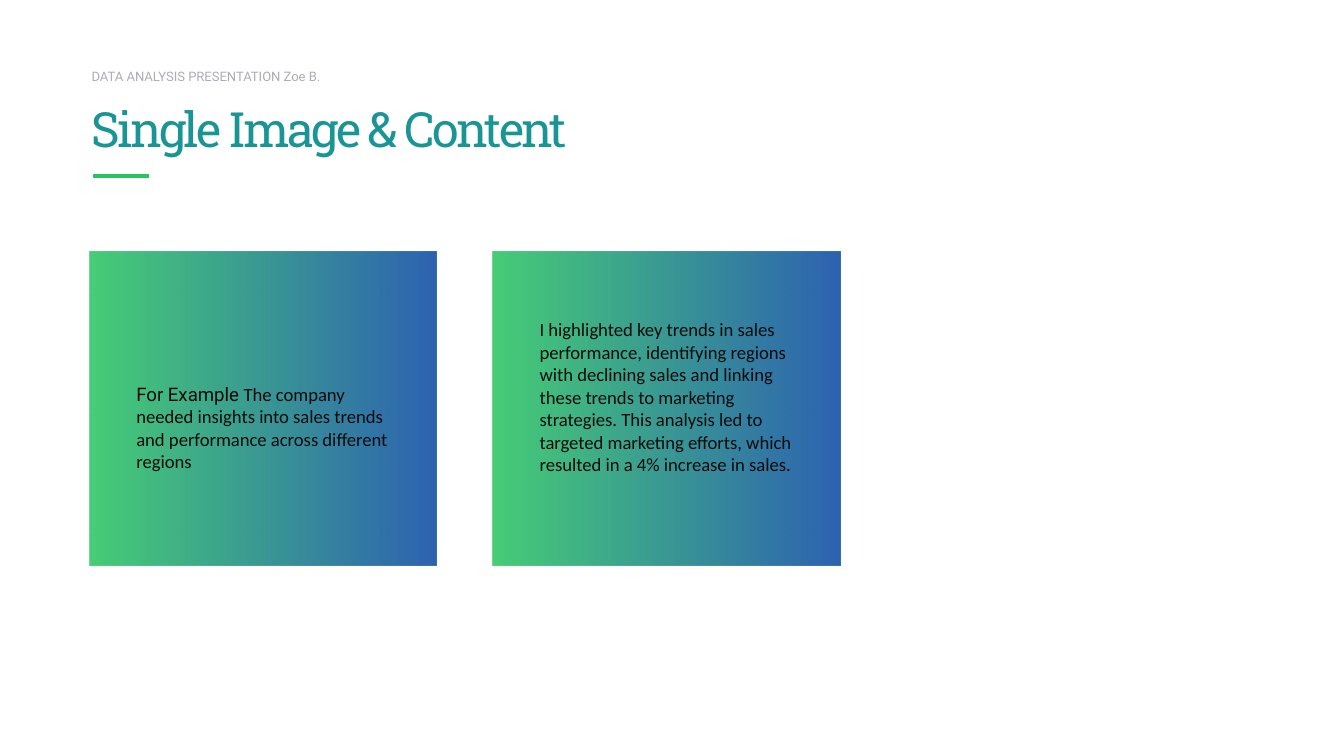
from lxml import etree
from pptx import Presentation
from pptx.dml.color import RGBColor
from pptx.enum.shapes import MSO_CONNECTOR, MSO_SHAPE
from pptx.enum.text import MSO_ANCHOR, MSO_AUTO_SIZE, PP_ALIGN
from pptx.oxml.ns import qn
from pptx.util import Pt

STRAIGHT = MSO_CONNECTOR.STRAIGHT
RECTANGLE = MSO_SHAPE.RECTANGLE
MIDDLE = MSO_ANCHOR.MIDDLE
LEFT = PP_ALIGN.LEFT
NO_AUTOFIT = MSO_AUTO_SIZE.NONE

COLORS = {
    "green": "27C45F",
    "blue": "0947A4",
    "teal": "199596",
    "gray": "A8AFB9",
    "ink": "0B0B0B",
}

MARGIN = 42
CARD_LEFT, CARD_TOP = 48, 135
CARD_WIDTH, CARD_HEIGHT = 186, 168
CARD_PITCH = 216
CARD_PADDING = 18

# Each card: text top, text height, runs of (text, font)
CARDS = [
    (201.5, 55, [
        ("For Example ", "Roboto"),
        ("The company needed insights into sales trends and performance "
         "across different regions", "Calibri"),
    ]),
    (167, 104.5, [
        ("I highlighted key trends in sales performance, identifying regions "
         "with declining sales and linking these trends to marketing "
         "strategies. This analysis led to targeted marketing efforts, which "
         "resulted in a 4% increase in sales.", "Calibri"),
    ]),
]


def rgb(name):
    return RGBColor.from_string(COLORS[name])


def set_font(font, size, color, family=None):
    font.size = Pt(size)
    font.color.rgb = rgb(color)
    if family:
        font.name = family


def add_title(slide, text):
    title = slide.shapes.title
    title.left, title.top = Pt(MARGIN), Pt(34.5)
    title.width, title.height = Pt(600), Pt(68)
    frame = title.text_frame
    frame.text = text
    frame.auto_size = NO_AUTOFIT
    frame.vertical_anchor = MIDDLE
    paragraph = frame.paragraphs[0]
    paragraph.alignment = LEFT
    set_font(paragraph.font, 26, "teal", "Roboto Slab")
    # Tight letter spacing, in hundredths of a point
    paragraph.runs[0].font._element.set("spc", "-150")


def add_text(slide, left, top, width, height, runs, size, color):
    box = slide.shapes.add_textbox(Pt(left), Pt(top), Pt(width), Pt(height))
    box.text_frame.word_wrap = True
    paragraph = box.text_frame.paragraphs[0]
    set_font(paragraph.font, size, color)
    for text, family in runs:
        run = paragraph.add_run()
        run.text = text
        run.font.name = family


def add_accent_line(slide, left, right, y):
    line = slide.shapes.add_connector(
        STRAIGHT, Pt(left), Pt(y), Pt(right), Pt(y))
    line.line.color.rgb = rgb("green")
    line.line.width = Pt(2)
    etree.SubElement(line._element.spPr, qn("a:effectLst"))


def add_gradient_card(slide, left):
    card = slide.shapes.add_shape(
        RECTANGLE, Pt(left), Pt(CARD_TOP), Pt(CARD_WIDTH), Pt(CARD_HEIGHT))
    card.shadow.inherit = False
    card.line.fill.background()
    card.fill.gradient()
    card.fill.gradient_angle = 0
    stops = card.fill.gradient_stops
    for stop, color, position in zip(stops, ("green", "blue"), (0.01, 1)):
        stop.color.rgb = rgb(color)
        stop.position = position
    # 85% opacity on both stops
    for color in card._element.spPr.iter(qn("a:srgbClr")):
        etree.SubElement(color, qn("a:alpha"), val="85000")


def main():
    presentation = Presentation()
    presentation.slide_width, presentation.slide_height = Pt(720), Pt(405)
    slide = presentation.slides.add_slide(presentation.slide_layouts[5])

    # Header
    add_accent_line(slide, 50, 80, 94.5)
    add_text(slide, MARGIN, 33, 396, 25,
             [("DATA ANALYSIS PRESENTATION Zoe B.", "Roboto")], 7, "gray")
    add_title(slide, "Single Image & Content")

    # Cards
    for index, (text_top, text_height, runs) in enumerate(CARDS):
        left = CARD_LEFT + index * CARD_PITCH
        add_gradient_card(slide, left)
        add_text(slide, left + CARD_PADDING, text_top,
                 CARD_WIDTH - 2 * CARD_PADDING, text_height, runs, 10, "ink")

    presentation.save("out.pptx")


if __name__ == "__main__":
    main()
